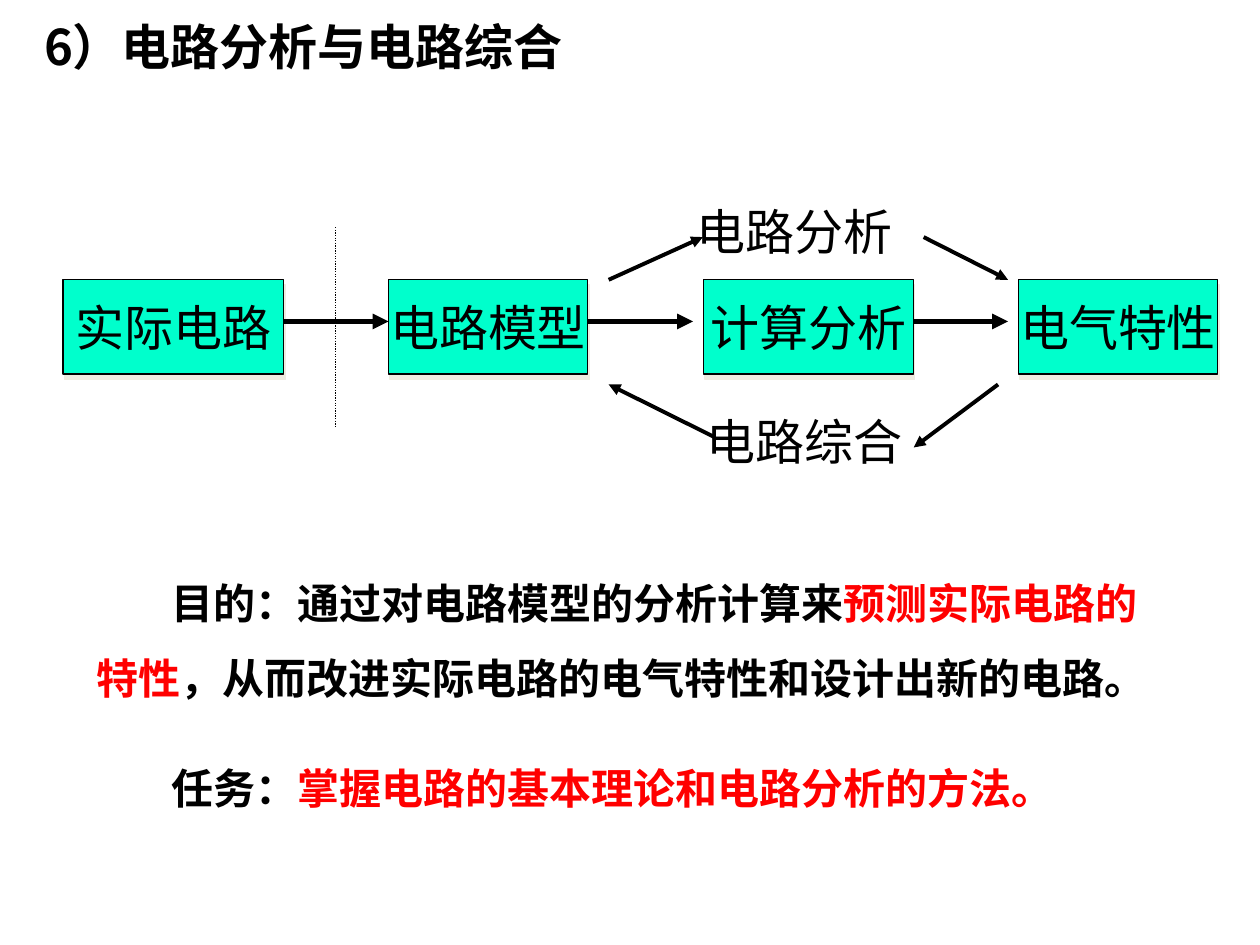
from lxml.etree import SubElement
from pptx import Presentation
from pptx.dml.color import RGBColor
from pptx.enum.dml import MSO_LINE
from pptx.enum.shapes import MSO_CONNECTOR, MSO_SHAPE
from pptx.enum.text import MSO_ANCHOR, PP_ALIGN
from pptx.oxml.ns import qn
from pptx.util import Cm, Pt

BLACK = RGBColor(0x00, 0x00, 0x00)
WHITE = RGBColor(0xFF, 0xFF, 0xFF)
RED = RGBColor(0xFF, 0x00, 0x00)
MINT = RGBColor(0x00, 0xFF, 0xCC)
SAND = RGBColor(0xEE, 0xEC, 0xE1)
SERIF = "Times New Roman"
CJK = "Noto Sans CJK SC"


def write(sp, runs, indent=0, paragraph=None, wrap=True,
          anchor=MSO_ANCHOR.TOP, **font):
    """Fill a shape with one paragraph of (text, colour) runs."""
    tf = sp.text_frame
    tf.word_wrap = wrap
    tf.vertical_anchor = anchor
    p = tf.paragraphs[0]
    for name, value in {"alignment": PP_ALIGN.LEFT, **(paragraph or {})}.items():
        setattr(p, name, value)
    if indent:
        p._p.get_or_add_pPr().set("indent", str(Cm(indent)))
    for text, color in runs:
        r = p.add_run()
        r.text = text
        for name, value in {"name": SERIF, "size": Pt(28), **font}.items():
            setattr(r.font, name, value)
        r.font.color.rgb = color
        SubElement(r._r.get_or_add_rPr(), qn("a:ea"), typeface=CJK)


def add_text(shapes, x, y, w, h, runs, **style):
    sp = shapes.add_textbox(Cm(x), Cm(y), Cm(w), Cm(h))
    write(sp, runs, **style)


def add_rect(shapes, x, y, w, h, line_color):
    sp = shapes.add_shape(MSO_SHAPE.RECTANGLE, Cm(x), Cm(y), Cm(w), Cm(h))
    sp.shadow.inherit = False
    sp.line.color.rgb = line_color
    sp.line.width = Pt(0.75)
    return sp


def add_line(shapes, start, end, width, arrow=True):
    line = shapes.add_connector(MSO_CONNECTOR.STRAIGHT,
                                *(Cm(v) for v in (*start, *end)))
    line.line.color.rgb = BLACK
    line.line.width = Pt(width)
    SubElement(line._element.spPr, qn("a:effectLst"))
    if arrow:
        SubElement(line.line._get_or_add_ln(), qn("a:tailEnd"), type="triangle")
    return line


def add_drop_shadow(sp):
    effects = sp._element.spPr.find(qn("a:effectLst"))
    shadow = SubElement(effects, qn("a:outerShdw"), dist=str(Pt(3.2)),
                        dir=str(72 * 60000), algn="ctr", rotWithShape="0")
    SubElement(shadow, qn("a:srgbClr"), val=str(SAND))


def title(shapes, x, y, w, h):
    sp = add_rect(shapes, x, y, w, h, WHITE)
    sp.fill.background()
    write(sp, [("6）电路分析与电路综合", BLACK)], name=CJK, bold=True)


def flow_diagram(shapes, x, y):
    """Four stages in a row, with the analysis loop above and synthesis below."""
    stages = [("实际电路", 0, 4.45), ("电路模型", 6.56, 4.02),
              ("计算分析", 12.91, 4.23), ("电气特性", 19.26, 4.02)]
    for text, left, width in stages:
        sp = add_rect(shapes, x + left, y + 1.7, width, 1.9, BLACK)
        sp.fill.solid()
        sp.fill.fore_color.rgb = MINT
        add_drop_shadow(sp)
        write(sp, [(text, BLACK)], paragraph={"alignment": PP_ALIGN.CENTER},
              wrap=False, anchor=MSO_ANCHOR.MIDDLE)

    for start, end in [(4.45, 6.56), (10.58, 12.7), (17.15, 19.05)]:
        add_line(shapes, (x + start, y + 2.54), (x + end, y + 2.54), 3)

    divider = add_line(shapes, (x + 5.5, y + 0.64), (x + 5.5, y + 4.65),
                       0.75, arrow=False)
    divider.line.dash_style = MSO_LINE.ROUND_DOT

    for text, left, top in [("电路分析", 11.43, 0), ("电路综合", 11.63, 4.24)]:
        add_text(shapes, x + left, y + top, 6.35, 2.64, [(text, BLACK)], indent=1.1)

    loops = [((13.13, 4.87), (11, 3.81)), ((18.85, 3.81), (17.15, 5.08)),
             ((11, 1.7), (12.9, 0.84)), ((17.35, 0.84), (19.05, 1.7))]
    for (x1, y1), (x2, y2) in loops:
        add_line(shapes, (x + x1, y + y1), (x + x2, y + y2), 2.25)


def purpose_and_task(shapes, x, y):
    style = {"indent": 1.5, "size": Pt(24), "bold": True}
    add_text(shapes, x, y, 22.22, 4.83,
             [("目的：通过对电路模型的分析计算来", BLACK),
              ("预测实际电路的特性", RED),
              ("，从而改进实际电路的电气特性和设计出新的电路。", BLACK)],
             paragraph={"line_spacing": 1.5}, **style)
    add_text(shapes, x, y + 4.24, 21.38, 2.29,
             [("任务：", BLACK), ("掌握电路的基本理论和电路分析的方法。", RED)],
             **style)


def main():
    prs = Presentation()
    prs.slide_width, prs.slide_height = Cm(25.4), Cm(19.05)
    shapes = prs.slides.add_slide(prs.slide_layouts[6]).shapes
    title(shapes, 0.64, 0.2, 12.07, 1.45)
    flow_diagram(shapes, 1.27, 3.94)
    purpose_and_task(shapes, 1.7, 11)
    prs.save("out.pptx")


if __name__ == "__main__":
    main()
